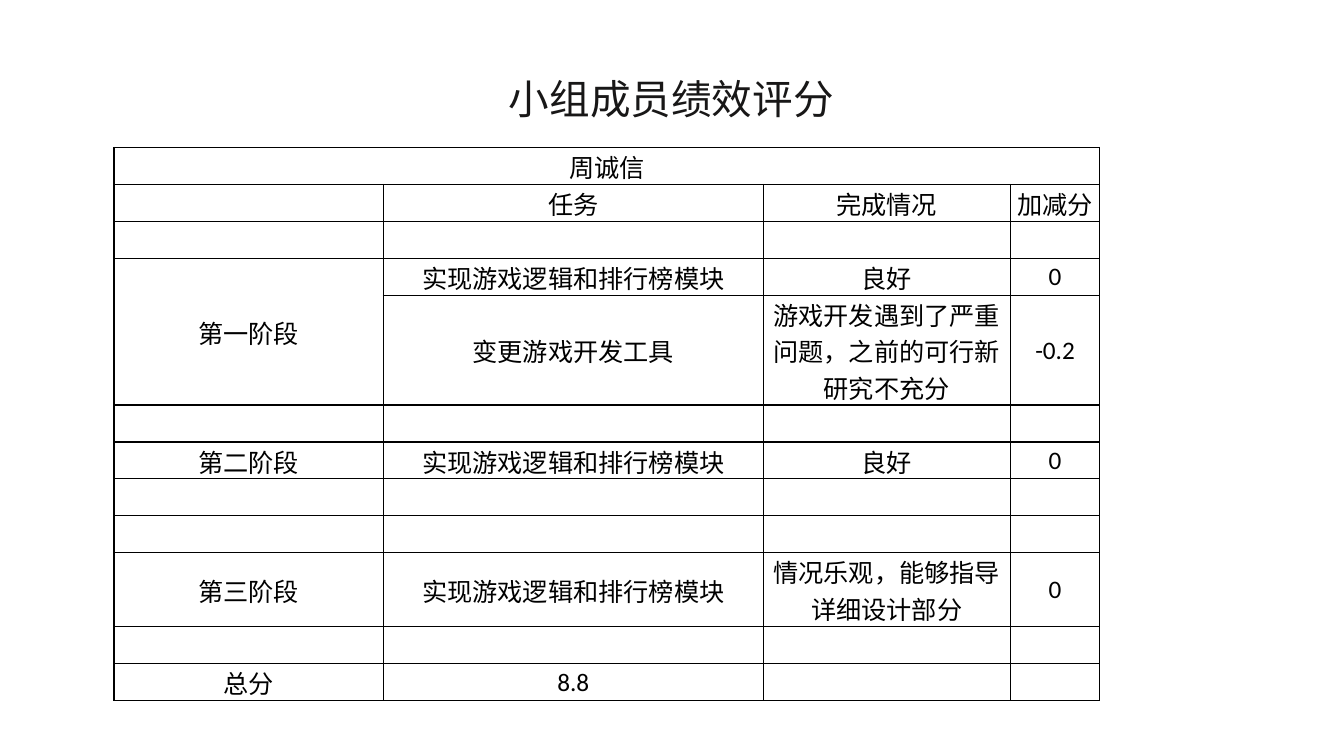
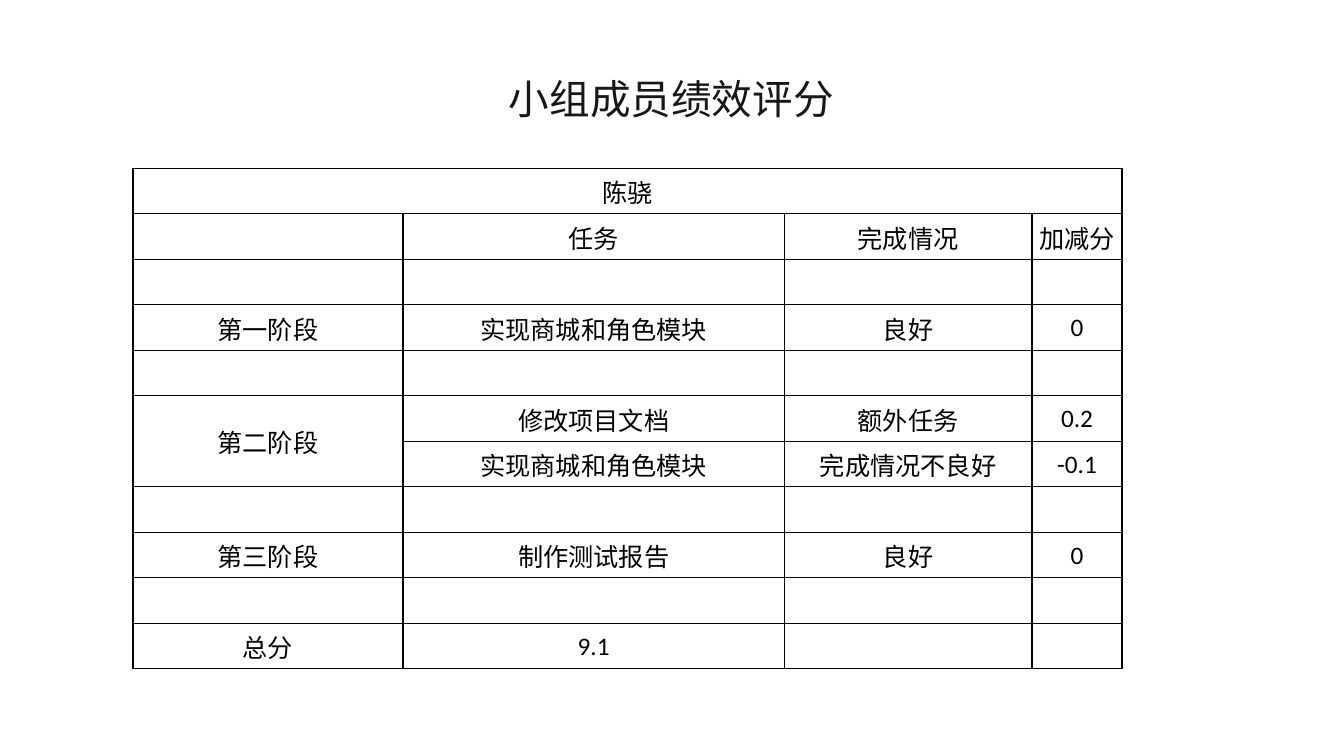
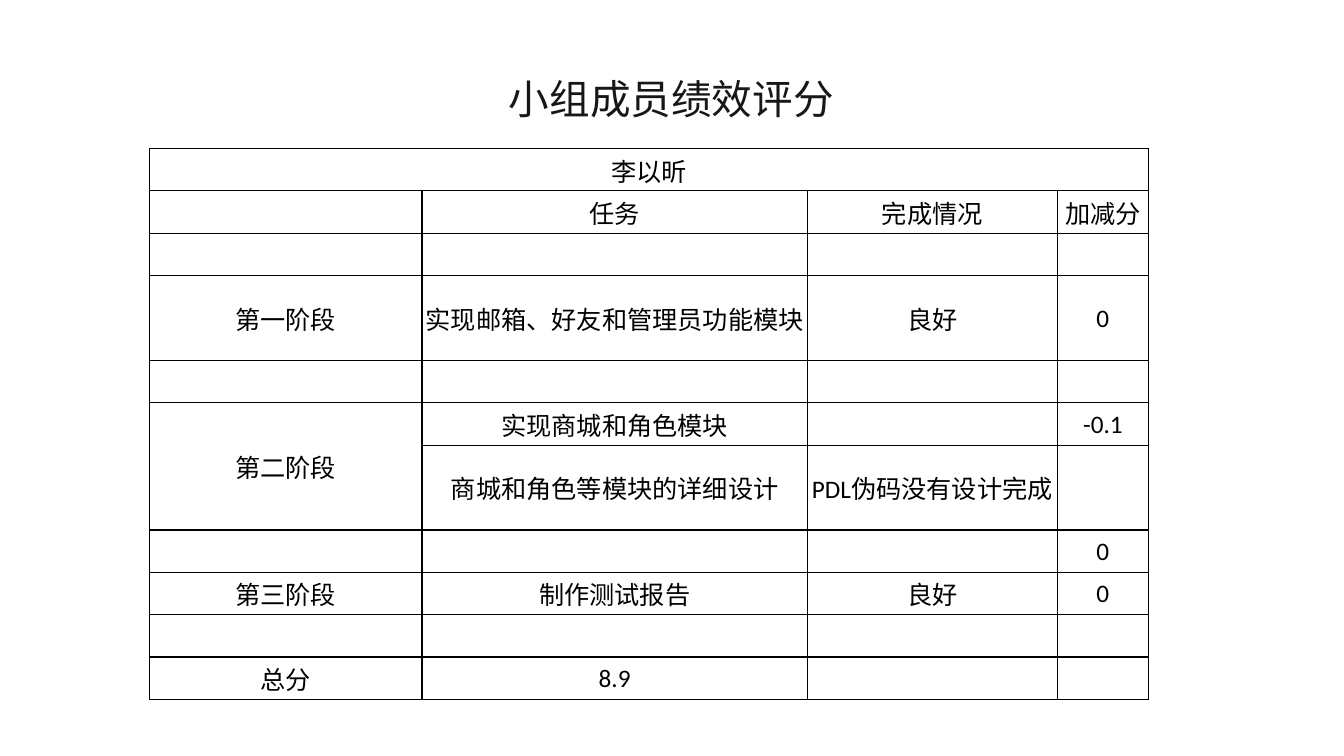
from lxml import etree
from pptx import Presentation
from pptx.dml.color import RGBColor
from pptx.enum.text import MSO_ANCHOR, PP_ALIGN
from pptx.oxml.ns import qn
from pptx.util import Pt

MIDDLE = MSO_ANCHOR.MIDDLE
CENTER = PP_ALIGN.CENTER

TITLE = "小组成员绩效评分"
HEADER = ["", "任务", "完成情况", "加减分"]
BLANK = [""] * 4


def rgb(value):
    return RGBColor.from_string(value)


class Deck:
    INK, TITLE_INK, PAPER = "000000", "181717", "FFFFFF"
    FONT, CJK_FONT = "Calibri", "Noto Sans CJK SC"
    COL_SHARES = (0.273, 0.3855, 0.2505, 0.091)

    def __init__(self):
        self.prs = Presentation()
        self.prs.slide_width, self.prs.slide_height = Pt(960), Pt(540)
        self.s = None

    def slide(self):
        self.s = self.prs.slides.add_slide(self.prs.slide_layouts[6])

    def style(self, p, font, size, color):
        for r in p.runs:
            r.font.name, r.font.size = font, Pt(size)
            r.font.color.rgb = rgb(color)
            ea = etree.SubElement(r.font._element, qn("a:ea"))
            ea.set("typeface", self.CJK_FONT)

    def title(self, text):
        sp = self.s.shapes.add_textbox(Pt(356.4), Pt(49), Pt(249), Pt(42.5))
        tf = sp.text_frame
        tf.word_wrap = True
        tf.vertical_anchor = MIDDLE
        tf.text = text
        self.style(tf.paragraphs[0], self.CJK_FONT, 29, self.TITLE_INK)

    def borders(self, cell):
        tc_pr = cell._tc.get_or_add_tcPr()
        for side in ("lnL", "lnR", "lnT", "lnB"):
            ln = etree.SubElement(tc_pr, qn("a:" + side), w=str(Pt(1)))
            fill = etree.SubElement(ln, qn("a:solidFill"))
            etree.SubElement(fill, qn("a:srgbClr"), val=self.INK)

    def cell(self, cell, text):
        self.borders(cell)
        cell.fill.solid()
        cell.fill.fore_color.rgb = rgb(self.PAPER)
        cell.margin_left = cell.margin_right = cell.margin_top = Pt(0.7)
        cell.margin_bottom = Pt(0)
        cell.vertical_anchor = MIDDLE
        p = cell.text_frame.paragraphs[0]
        p.alignment = CENTER
        if text:
            p.text = text
            self.style(p, self.FONT, 18, self.INK)

    def score_table(self, left, top, width, unit, member, rows, phase_row, tall):
        """unit: height of one row; tall: {row: multiple of unit};
        phase_row: first of the two rows that share one phase label."""
        data = [[member, "", "", ""], HEADER, BLANK, *rows]
        heights = [unit * tall.get(i, 1) for i in range(len(data))]
        table = self.s.shapes.add_table(
            len(data), len(HEADER), Pt(left), Pt(top), Pt(width), Pt(sum(heights))).table
        table.first_row = table.horz_banding = False
        for col, share in zip(table.columns, self.COL_SHARES):
            col.width = Pt(width * share)
        for i, (height, texts) in enumerate(zip(heights, data)):
            table.rows[i].height = Pt(height)
            for j, text in enumerate(texts):
                self.cell(table.cell(i, j), text)
        table.cell(0, 0).merge(table.cell(0, len(HEADER) - 1))
        table.cell(phase_row, 0).merge(table.cell(phase_row + 1, 0))


SCORES = [
    dict(left=81.5, top=105.3, width=704.2, unit=26.4, member="周诚信",
         phase_row=3, tall={4: 2.97, 9: 2},
         rows=[["第一阶段", "实现游戏逻辑和排行榜模块", "良好", "0"],
               ["", "变更游戏开发工具", "游戏开发遇到了严重问题，之前的可行新研究不充分", "-0.2"],
               BLANK,
               ["第二阶段", "实现游戏逻辑和排行榜模块", "良好", "0"],
               BLANK,
               BLANK,
               ["第三阶段", "实现游戏逻辑和排行榜模块", "情况乐观，能够指导详细设计部分", "0"],
               BLANK,
               ["总分", "8.8", "", ""]]),
    dict(left=95, top=120.3, width=706.5, unit=32.5, member="陈骁",
         phase_row=5, tall={},
         rows=[["第一阶段", "实现商城和角色模块", "良好", "0"],
               BLANK,
               ["第二阶段", "修改项目文档", "额外任务", "0.2"],
               ["", "实现商城和角色模块", "完成情况不良好", "-0.1"],
               BLANK,
               ["第三阶段", "制作测试报告", "良好", "0"],
               BLANK,
               ["总分", "9.1", "", ""]]),
    dict(left=106.7, top=106, width=713.6, unit=30.3, member="李以昕",
         phase_row=5, tall={3: 2, 6: 2},
         rows=[["第一阶段", "实现邮箱、好友和管理员功能模块", "良好", "0"],
               BLANK,
               ["第二阶段", "实现商城和角色模块", "", "-0.1"],
               ["", "商城和角色等模块的详细设计", "PDL伪码没有设计完成", ""],
               ["", "", "", "0"],
               ["第三阶段", "制作测试报告", "良好", "0"],
               BLANK,
               ["总分", "8.9", "", ""]]),
]


def main():
    deck = Deck()
    # One slide per group member
    for score in SCORES:
        deck.slide()
        deck.title(TITLE)
        deck.score_table(**score)
    deck.prs.save("out.pptx")


if __name__ == "__main__":
    main()
